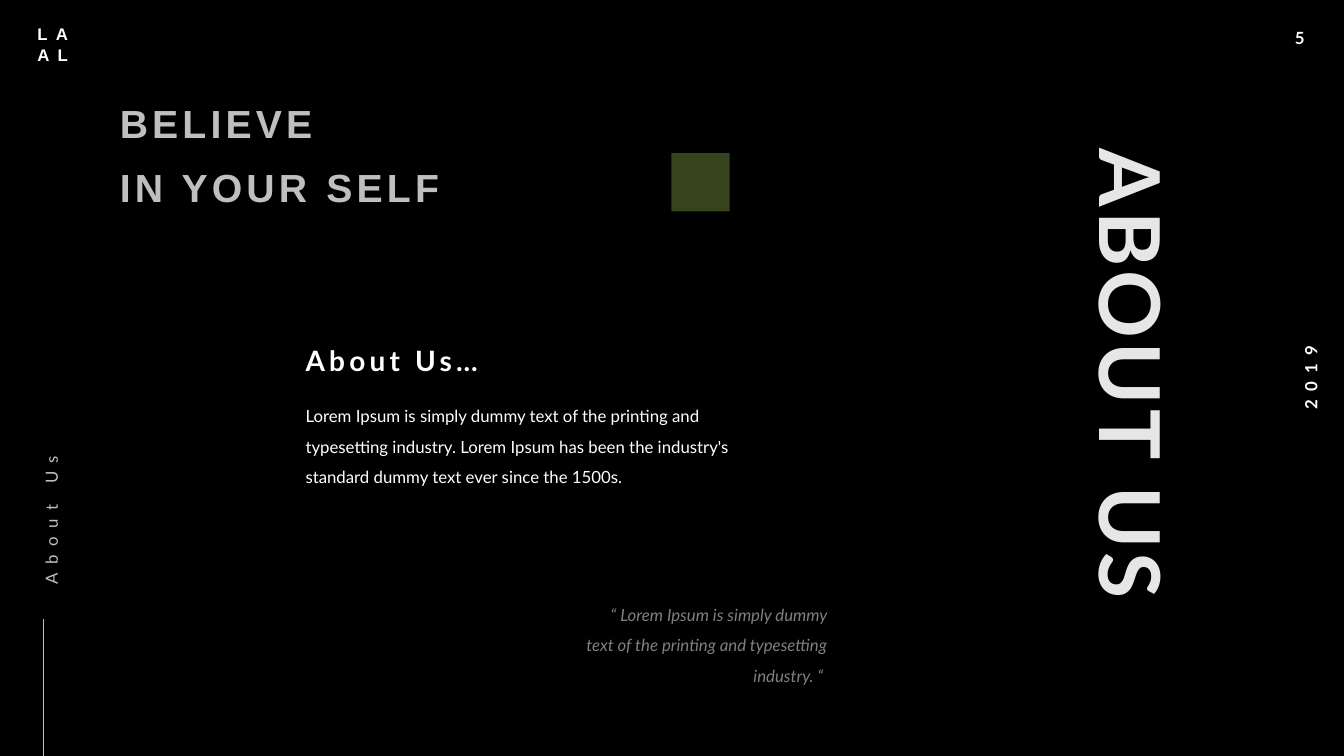
from pptx import Presentation
from pptx import util as u
from pptx.dml.color import RGBColor
from pptx.enum import shapes, text
from pptx.oxml import xmlchemy
from pptx.oxml.ns import qn
from lxml import etree

COLORS = {
    "background": "000000",
    "white": "FFFFFF",
    "title": "E6E6E6",
    "light": "BFBFBF",
    "quote": "808080",
    "square": "36441E",
}
CENTER, RIGHT = text.PP_ALIGN.CENTER, text.PP_ALIGN.RIGHT


def write(shape, box, lines, size=12, color="white", font="Lato", bold=False,
          italic=False, tracking=0, align=text.PP_ALIGN.LEFT, line_spacing=1.0,
          before=12, margins=(0, 0, 0.25, 0), wrap=True, rotation=0):
    """Place a text shape (box in cm) and fill it with one paragraph per line."""
    shape.left, shape.top, shape.width, shape.height = [u.Cm(value) for value in box]
    shape.rotation = rotation
    frame = shape.text_frame
    frame.text = "\n".join(lines)
    frame.word_wrap = wrap
    frame.auto_size = text.MSO_AUTO_SIZE.SHAPE_TO_FIT_TEXT
    frame.vertical_anchor = text.MSO_ANCHOR.TOP
    (frame.margin_left, frame.margin_top,
     frame.margin_right, frame.margin_bottom) = [u.Cm(value) for value in margins]
    for paragraph in frame.paragraphs:
        paragraph.alignment = align
        paragraph.line_spacing = line_spacing
        paragraph.space_before = u.Pt(before)
        run = paragraph.runs[0]
        run.font.name = font
        run.font.size = u.Pt(size)
        run.font.bold = bold
        run.font.italic = italic
        run.font.color.rgb = RGBColor.from_string(COLORS[color])
        if tracking:
            run.font._element.set("spc", str(tracking * 100))


presentation = Presentation()
presentation.slide_width, presentation.slide_height = u.Cm(33.87), u.Cm(19.05)
slide = presentation.slides.add_slide(presentation.slide_layouts[1])
slide.background.fill.solid()
slide.background.fill.fore_color.rgb = RGBColor.from_string(COLORS["background"])

# Title and body
write(slide.shapes.title, (19.18, 8.26, 18.72, 2.57), ["ABOUT US"], size=60,
      color="title", bold=True, tracking=3, align=CENTER, rotation=90)

body = slide.placeholders[1]
write(body, (7.7, 9.98, 12.14, 2.21),
      ["Lorem Ipsum is simply dummy text of the printing and typesetting industry. "
       "Lorem Ipsum has been the industry's standard dummy text ever since the 1500s."],
      line_spacing=1.5)
body_format = body.text_frame.paragraphs[0]._p.get_or_add_pPr()
body_format.set("marL", "0")
body_format.set("indent", "0")
etree.SubElement(body_format, qn("a:buNone"))

# Other texts
corner = {"before": 0, "margins": (0.25, 0.13, 0.25, 0.13), "bold": True}
texts = [
    ((7.7, 8.66, 6.6, 0.86), ["About Us…"], {"size": 20, "bold": True, "tracking": 3}),
    ((-1.24, 12.04, 4.7, 0.66), ["About Us"],
     {"color": "light", "tracking": 6, "line_spacing": 1.5, "rotation": 270}),
    ((3.02, 2.51, 9.35, 2.82), ["BELIEVE", "IN YOUR SELF"],
     {"size": 28, "color": "light", "font": "Arial", "bold": True, "tracking": 3}),
    ((14.6, 14.99, 6.5, 2.21),
     ["“ Lorem Ipsum is simply dummy text of the printing and typesetting industry. “ "],
     {"color": "quote", "italic": True, "align": RIGHT, "line_spacing": 1.5}),
    ((32.38, 0.56, 0.76, 0.76), ["5"], {**corner, "wrap": False}),
    ((31.85, 9.14, 2.36, 0.76), ["2019"],
     {**corner, "wrap": False, "tracking": 6, "align": CENTER, "rotation": 270}),
    ((0.69, 0.48, 1.5, 1.27), ["LA", "AL"], {**corner, "font": "Arial", "tracking": 6}),
]
for box, lines, text_format in texts:
    write(slide.shapes.add_textbox(0, 0, 0, 0), box, lines, **text_format)

# Square and side line
square = slide.shapes.add_shape(shapes.MSO_SHAPE.RECTANGLE,
                                u.Cm(16.92), u.Cm(3.86), u.Cm(1.47), u.Cm(1.47))
square.shadow.inherit = False
square.fill.solid()
square.fill.fore_color.rgb = RGBColor.from_string(COLORS["square"])
square.line.fill.background()

side_line = slide.shapes.add_connector(shapes.MSO_CONNECTOR.STRAIGHT,
                                       u.Cm(1.09), u.Cm(19.05), u.Cm(1.09), u.Cm(15.6))
side_line.line.color.rgb = RGBColor.from_string(COLORS["light"])
side_line.line.width = u.Pt(0.5)
etree.SubElement(side_line._element.spPr, qn("a:effectLst"))

presentation.save("out.pptx")
